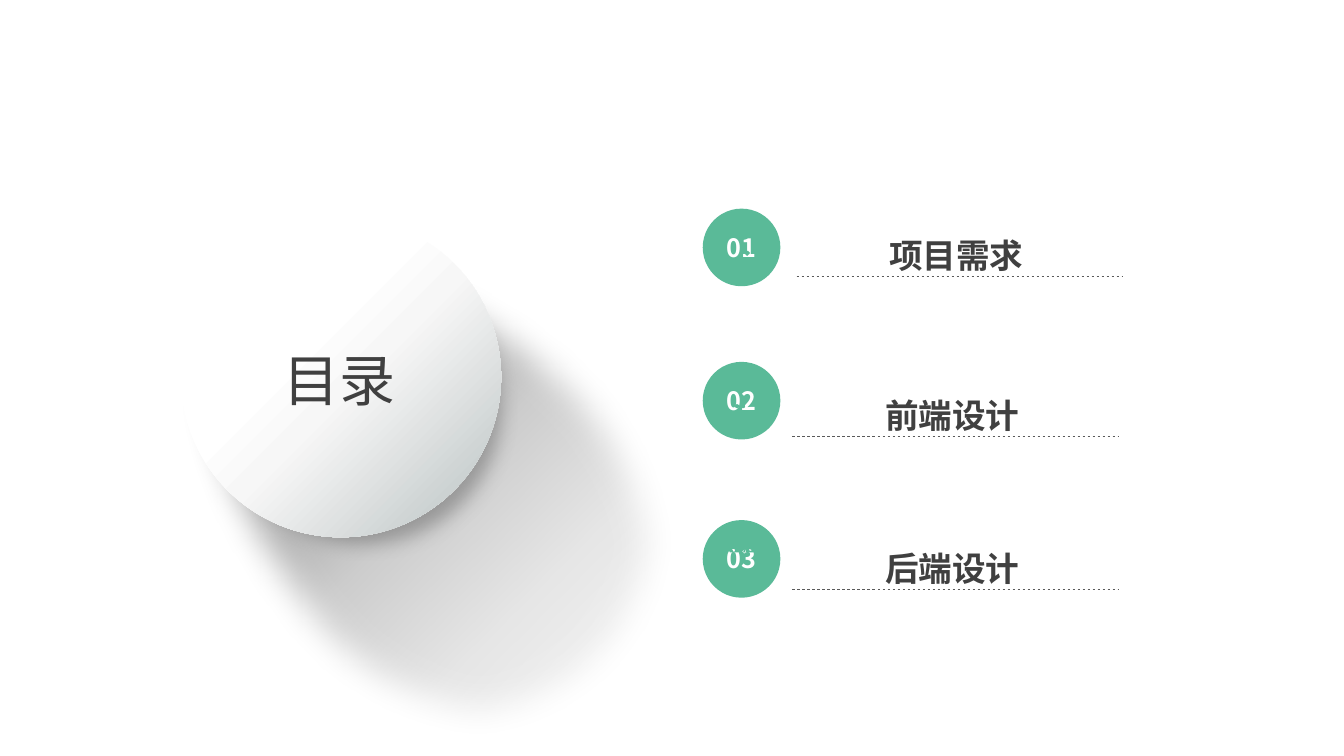
from math import cos, radians, sin

from pptx import Presentation
from pptx.dml.color import RGBColor
from pptx.enum.dml import MSO_LINE
from pptx.enum.shapes import MSO_CONNECTOR, MSO_SHAPE
from pptx.enum.text import MSO_ANCHOR, MSO_AUTO_SIZE, PP_ALIGN
from pptx.oxml import parse_xml
from pptx.oxml.ns import nsdecls, qn
from pptx.util import Inches, Pt

ROWS = 75  # square grid cells, a tenth of an inch each
GREEN, INK, RULE, WHITE = "5ABA98", "404040", "595959", "FFFFFF"

# Contents entries: heading, circle top, heading left, heading top
ENTRIES = [
    ("项目需求", 20.7, 77.7, 22.8),
    ("前端设计", 35.9, 77.3, 38.7),
    ("后端设计", 51.6, 77.3, 53.9),
]
CIRCLE_LEFT, CIRCLE_SIZE = 69.7, 7.7

# Small marks lying over the numbers
HANDLE = [(74.2, 24.9), (74.1, 24.9), (73.9, 24.7), (73.7, 24.9), (73.9, 25.1),
          (73.9, 25.2), (74.1, 25.4), (74.4, 25.1)]
WEDGE = [(72.8, 54.8), (72.5, 54.3), (72.2, 54.4), (72.4, 54.8)]
ARC = [(74, 54.4), (73.4, 54.1), (73.2, 54.7), (73.3, 54.8), (73.5, 54.8),
       (73.3, 54.7), (73.4, 54.2), (73.9, 54.4), (73.7, 54.8), (73.9, 54.8)]
GEAR = [(74.6, 54.7), (74.3, 54.6), (74.3, 54.4), (74.6, 54.3), (74.6, 54.2),
        (74.5, 54), (74.4, 54), (74.1, 54), (74, 53.9), (74.1, 53.7),
        (74.1, 53.6), (73.8, 53.5), (73.8, 53.6), (73.6, 53.8), (73.5, 53.8),
        (73.3, 53.6), (73, 53.7), (73.1, 54), (73, 54.1), (72.7, 54.1),
        (72.6, 54.4), (72.9, 54.5), (72.9, 54.7), (72.8, 54.7), (72.9, 54.8),
        (73.2, 54.8), (73.2, 54.7), (73.4, 54.1), (74, 54.3), (74, 54.8),
        (74.6, 54.8)]
SCREWDRIVER = [(75.4, 53.5), (75.3, 53.5), (75.2, 53.7), (75.2, 53.8),
               (74.8, 54.4), (74.7, 54.4), (74.5, 54.6), (74.6, 54.7),
               (74.6, 54.8), (74.8, 54.8), (74.9, 54.6), (74.9, 54.4),
               (75.3, 53.8), (75.4, 53.6)]

# Cast shadow: start point, then two controls and an end for each curve
CAST_CURVES = [
    [(27, 63.6), (17.7, 50.7), (13.5, 36.5), (21.9, 28)],
    [(21.9, 28), (30.3, 19.6), (45.2, 23.6), (57.5, 33.1)],
    [(57.5, 33.1), (70, 42.8), (70.9, 60.2), (62.5, 68.6)],
    [(62.5, 68.6), (54.1, 77.1), (36.2, 76.4), (27, 63.6)],
]
CAST_CENTRE = (42.15, 48.4)


def color(hex_code):
    return RGBColor.from_string(hex_code)


def curve_points(curve, steps=16):
    """Sample a cubic curve, leaving out its end point."""
    for step in range(steps):
        t = step / steps
        weights = ((1 - t) ** 3, 3 * t * (1 - t) ** 2, 3 * t ** 2 * (1 - t), t ** 3)
        yield tuple(sum(w * point[axis] for w, point in zip(weights, curve))
                    for axis in (0, 1))


def turn(point, centre, degrees):
    """Rotate a point clockwise about a centre."""
    x, y = point[0] - centre[0], point[1] - centre[1]
    angle = radians(degrees)
    return (centre[0] + x * cos(angle) - y * sin(angle),
            centre[1] + x * sin(angle) + y * cos(angle))


def write(frame, text, size, hex_code, font="Noto Sans CJK SC", bold=False,
          anchor=MSO_ANCHOR.TOP, grow=True):
    frame.word_wrap = True
    frame.vertical_anchor = anchor
    frame.auto_size = MSO_AUTO_SIZE.SHAPE_TO_FIT_TEXT if grow else MSO_AUTO_SIZE.NONE
    para = frame.paragraphs[0]
    para.alignment = PP_ALIGN.CENTER
    span = para.add_run()
    span.text = text
    span.font.size, span.font.bold, span.font.name = Pt(size), bold, font
    span.font.color.rgb = color(hex_code)
    span.font._element.append(
        parse_xml(f'<a:ea {nsdecls("a")} typeface="{font}"/>'))


def color_xml(hex_code, alpha=100):
    return f'<a:srgbClr val="{hex_code}"><a:alpha val="{alpha * 1000}"/></a:srgbClr>'


def fill_gradient(shape, stops, angle):
    """Fill with (position, colour, optional opacity) stops."""
    marks = "".join(f'<a:gs pos="{position * 1000}">{color_xml(*paint)}</a:gs>'
                    for position, *paint in stops)
    shape.fill.background()
    properties = shape.element.spPr
    properties.replace(properties.find(qn("a:noFill")), parse_xml(
        f'<a:gradFill {nsdecls("a")} rotWithShape="1"><a:gsLst>{marks}</a:gsLst>'
        f'<a:lin ang="{angle * 60000}" scaled="0"/></a:gradFill>'))


def add_effect(shape, name, attributes, content=""):
    effects = shape.element.spPr.find(qn("a:effectLst"))
    effects.append(parse_xml(
        f'<a:{name} {nsdecls("a")} {attributes}>{content}</a:{name}>'))


class ContentsSlide:
    def __init__(self, deck):
        self.cell = deck.slide_height / ROWS
        self.page = deck.slides.add_slide(deck.slide_layouts[5])

    def lengths(self, *cells):
        return [round(count * self.cell) for count in cells]

    def plain(self, shape, fill):
        shape.shadow.inherit = False
        shape.line.fill.background()
        shape.fill.solid()
        shape.fill.fore_color.rgb = color(fill)
        return shape

    def circle(self, left, top, size, fill=GREEN):
        shape = self.page.shapes.add_shape(
            MSO_SHAPE.OVAL, *self.lengths(left, top, size, size))
        return self.plain(shape, fill)

    def outline(self, points, fill=GREEN):
        start, *others = [self.lengths(*point) for point in points]
        builder = self.page.shapes.build_freeform(*start, scale=1.0)
        builder.add_line_segments(others, close=True)
        return self.plain(builder.convert_to_shape(), fill)

    def heading(self, text, left, top):
        box = self.page.shapes.add_textbox(*self.lengths(left, top, 34.3, 5))
        write(box.text_frame, text, 24, INK, bold=True)

    def rule(self, left, top, length):
        line = self.page.shapes.add_connector(
            MSO_CONNECTOR.STRAIGHT, *self.lengths(left, top, left + length, top))
        line.line.width = Pt(0.5)
        line.line.color.rgb = color(RULE)
        line.line.dash_style = MSO_LINE.DASH
        line.element.spPr.append(parse_xml(f'<a:effectLst {nsdecls("a")}/>'))

    def title(self, text, left, top, width, height):
        box = self.page.shapes.title
        box.left, box.top, box.width, box.height = self.lengths(left, top, width, height)
        write(box.text_frame, text, 40, INK)
        box.element.getparent().append(box.element)  # in front of the sphere

    def sphere(self):
        points = [turn(point, CAST_CENTRE, 45)
                  for curve in CAST_CURVES for point in curve_points(curve)]
        cast = self.outline(points)
        cast.rotation = 315
        opacities = [(0, 100), (17, 46), (34, 43), (51, 20), (65, 10), (78, 5), (100, 0)]
        fill_gradient(cast, [(place, "000000", alpha) for place, alpha in opacities], 90)
        add_effect(cast, "softEdge", f'rad="{Pt(25)}"')

        shades = [(53, "F7F7F7"), (100, "B8C0C0")]
        core = self.circle(21.7, 26, 26.8)
        fill_gradient(core, [(0, WHITE), (43, "F7F7F7"), shades[1]], 45)
        add_effect(core, "outerShdw",
                   f'blurRad="{Pt(14)}" dist="{Pt(11)}" dir="{45 * 60000}" '
                   'algn="tl" rotWithShape="0"', color_xml("494949", 40))
        ball = self.circle(17.9, 21.5, 31.8)
        fill_gradient(ball, [(11, WHITE), (39, WHITE), *shades], 45)


def main():
    deck = Presentation()
    deck.slide_width, deck.slide_height = Inches(13.33), Inches(7.5)
    slide = ContentsSlide(deck)
    slide.sphere()
    for number, (text, circle_top, left, top) in enumerate(ENTRIES, 1):
        slide.heading(text, left, top)
        slide.rule(left + 1.3, top + 4.6, 32.3)
        badge = slide.circle(CIRCLE_LEFT, circle_top, CIRCLE_SIZE)
        write(badge.text_frame, f"{number:02}", 18, WHITE, bold=True,
              anchor=MSO_ANCHOR.MIDDLE, grow=False)
    for mark in (HANDLE, WEDGE, ARC, GEAR, SCREWDRIVER):
        slide.outline(mark)
    for dot_left in (72.9, 73.5):
        slide.circle(dot_left, 40.1, 0.4)
    slide.title("目录", 22, 33.8, 23.4, 7.7)
    deck.save("out.pptx")


if __name__ == "__main__":
    main()
